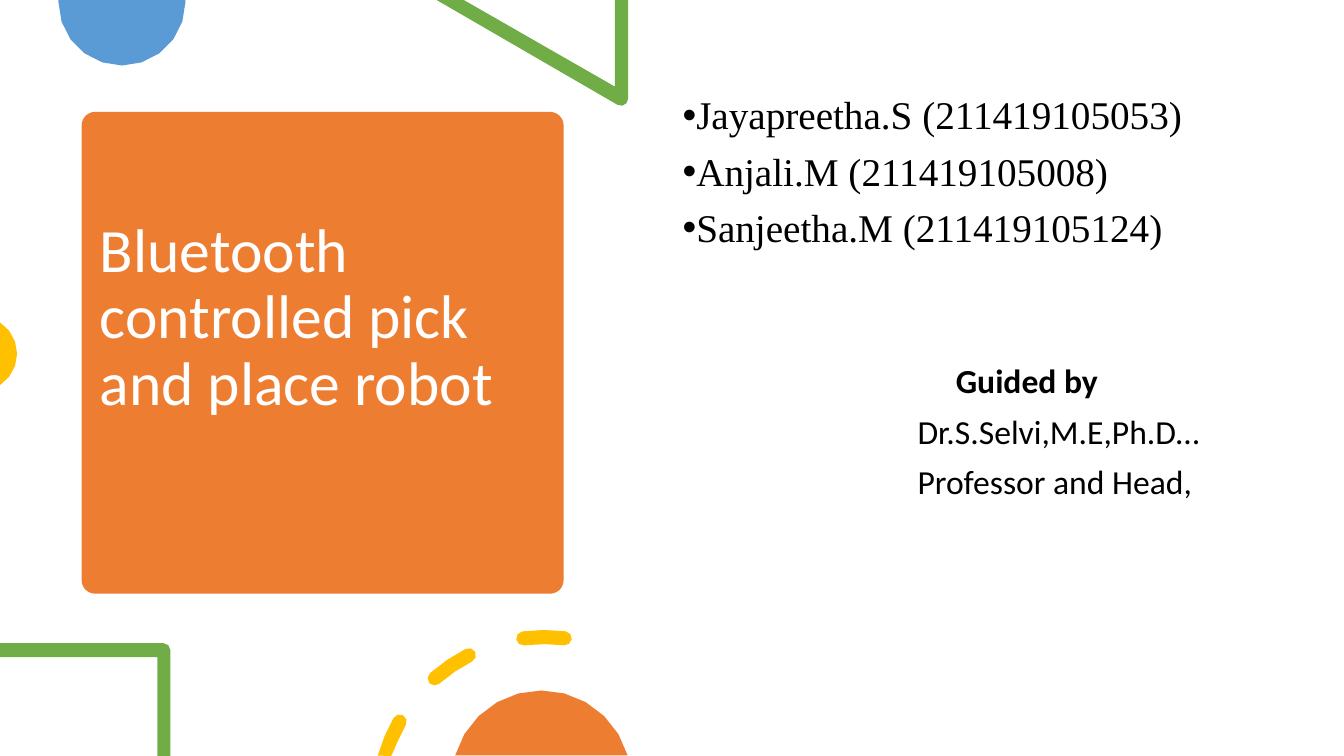
from math import cos, sin, radians
from lxml.etree import SubElement as Sub
from pptx import Presentation
from pptx.dml.color import RGBColor as Rgb
from pptx.enum.shapes import MSO_SHAPE as Kind
from pptx.enum.text import MSO_ANCHOR as Anchor, MSO_AUTO_SIZE as Fit, PP_ALIGN as Align
from pptx.oxml.ns import qn
from pptx.util import Inches, Pt

ORANGE, GREEN, GOLD, BLUE = "ED7D31", "70AD47", "FFC000", "5B9BD5"
WHITE, BLACK = "FFFFFF", "000000"


def paint(shape, color):
    shape.shadow.inherit = False
    shape.fill.solid()
    shape.fill.fore_color.rgb = Rgb.from_string(color)
    shape.line.fill.background()


def arc(x, y, r, start, end, steps):
    turns = [radians(start + (end - start) * i / steps) for i in range(steps + 1)]
    return [(x + r * cos(t), y + r * sin(t)) for t in turns]


def draw(slide, color, *loops):
    loops = [[(Inches(x), Inches(y)) for x, y in loop] for loop in loops]
    pen = slide.shapes.build_freeform(*loops[0][0])
    pen.add_line_segments(loops[0][1:])
    for loop in loops[1:]:
        pen.move_to(*loop[0])
        pen.add_line_segments(loop[1:])
    paint(pen.convert_to_shape(), color)


def place(shape, x, y, w, h):
    shape.left, shape.top = Inches(x), Inches(y)
    shape.width, shape.height = Inches(w), Inches(h)


def write(para, text, size, font, color, bold=False):
    para.alignment = Align.LEFT
    para.line_spacing = 0.9
    run = para.add_run()
    run.text = text
    run.font.size = Pt(size)
    run.font.name = font
    run.font.bold = bold
    run.font.color.rgb = Rgb.from_string(color)


def indent(para, left, first, mark=None):
    props = para._p.get_or_add_pPr()
    props.set("marL", str(Inches(left)))
    props.set("indent", str(Inches(first)))
    if mark:
        Sub(props, qn("a:buChar")).set("char", mark)
    else:
        Sub(props, qn("a:buNone"))


def card(slide, x, y, side):
    title = slide.shapes.title
    panel = slide.shapes.add_shape(Kind.ROUNDED_RECTANGLE, *map(Inches, (x, y, side, side)))
    panel.adjustments[0] = 0.028
    paint(panel, ORANGE)
    title.element.addprevious(panel.element)
    place(title, x + 0.08, y + 0.03, side - 0.2, side - 0.73)
    frame = title.text_frame
    frame.word_wrap = True
    frame.auto_size = Fit.NONE
    frame.vertical_anchor = Anchor.MIDDLE
    write(frame.paragraphs[0], "Bluetooth controlled pick and place robot", 44, "Calibri", WHITE)


def credits(slide, x, y, w, h):
    body = slide.placeholders[1]
    place(body, x, y, w, h)
    frame = body.text_frame
    frame.word_wrap = True
    frame.auto_size = Fit.NONE
    frame.vertical_anchor = Anchor.TOP
    team = ["Jayapreetha.S (211419105053)", "Anjali.M (211419105008)", "Sanjeetha.M (211419105124)"]
    for i, name in enumerate(team):
        para = frame.add_paragraph() if i else frame.paragraphs[0]
        indent(para, 0.13, -0.13, "•")
        para.space_before = Pt(10 if i else 0)
        write(para, name, 28, "Times New Roman", BLACK)
    guide = [("Guided by", 2.71, 81.5, True), ("Dr.S.Selvi,M.E,Ph.D…", 2.33, 10, False),
             ("Professor and Head,", 2.33, 10, False)]
    for text, left, gap, bold in guide:
        para = frame.add_paragraph()
        indent(para, left, 0)
        para.space_before = Pt(gap)
        write(para, text, 24, "Calibri", BLACK, bold)


def header(slide, x, y):
    draw(slide, BLUE, [(x, y)] + arc(x + 0.63, y + 0.02, 0.63, 180, 0, 10) + [(x + 1.26, y)])
    tip = arc(x + 5.58, y + 0.98, 0.07, 120, 0, 3)
    draw(slide, GREEN, [(x + 5.65, y), (x + 5.52, y), (x + 5.52, y + 0.86),
                        (x + 4.02, y), (x + 3.75, y)] + tip)


def edge(slide, x, y):
    draw(slide, GOLD, arc(x - 0.2, y, 0.37, -57, 57, 6))


def cap(x, y, r, turn, base):
    mid = radians(turn)
    return arc(x + r * cos(mid), y + r * sin(mid), 0.07, base, base + 180, 4)


def dash(x, y, r, start, end, whole=True):
    loop = arc(x, y, r + 0.07, start, end, 2) + cap(x, y, r, end, end)
    loop += arc(x, y, r - 0.07, end, start, 2)
    return loop + cap(x, y, r, start, start + 180) if whole else loop


def footer(slide, x, base):
    top = base - 1.12
    bend = arc(x + 1.62, top + 0.07, 0.07, 270, 360, 2)
    draw(slide, GREEN, [(x, top)] + bend + [(x + 1.69, base), (x + 1.56, base),
                                            (x + 1.56, top + 0.14), (x, top + 0.14)])
    hub = (x + 5.4, base + 0.47, 1.65)
    tail = [(a, min(b, base)) for a, b in dash(*hub, 196, 209.5, False)]
    draw(slide, GOLD, tail, dash(*hub, 228.7, 243), dash(*hub, 262.7, 277))
    draw(slide, ORANGE, arc(x + 5.37, base + 0.24, 0.89, 196, 344, 10))


def main():
    deck = Presentation()
    deck.slide_width, deck.slide_height = Inches(13.33), Inches(7.5)
    slide = deck.slides.add_slide(deck.slide_layouts[0])
    card(slide, 0.81, 1.11, 4.78)
    header(slide, 0.58, 0)
    edge(slide, 0, 3.51)
    credits(slide, 6.67, 0.9, 5.75, 5.35)
    footer(slide, 0, 7.5)
    deck.save("out.pptx")


if __name__ == "__main__":
    main()
